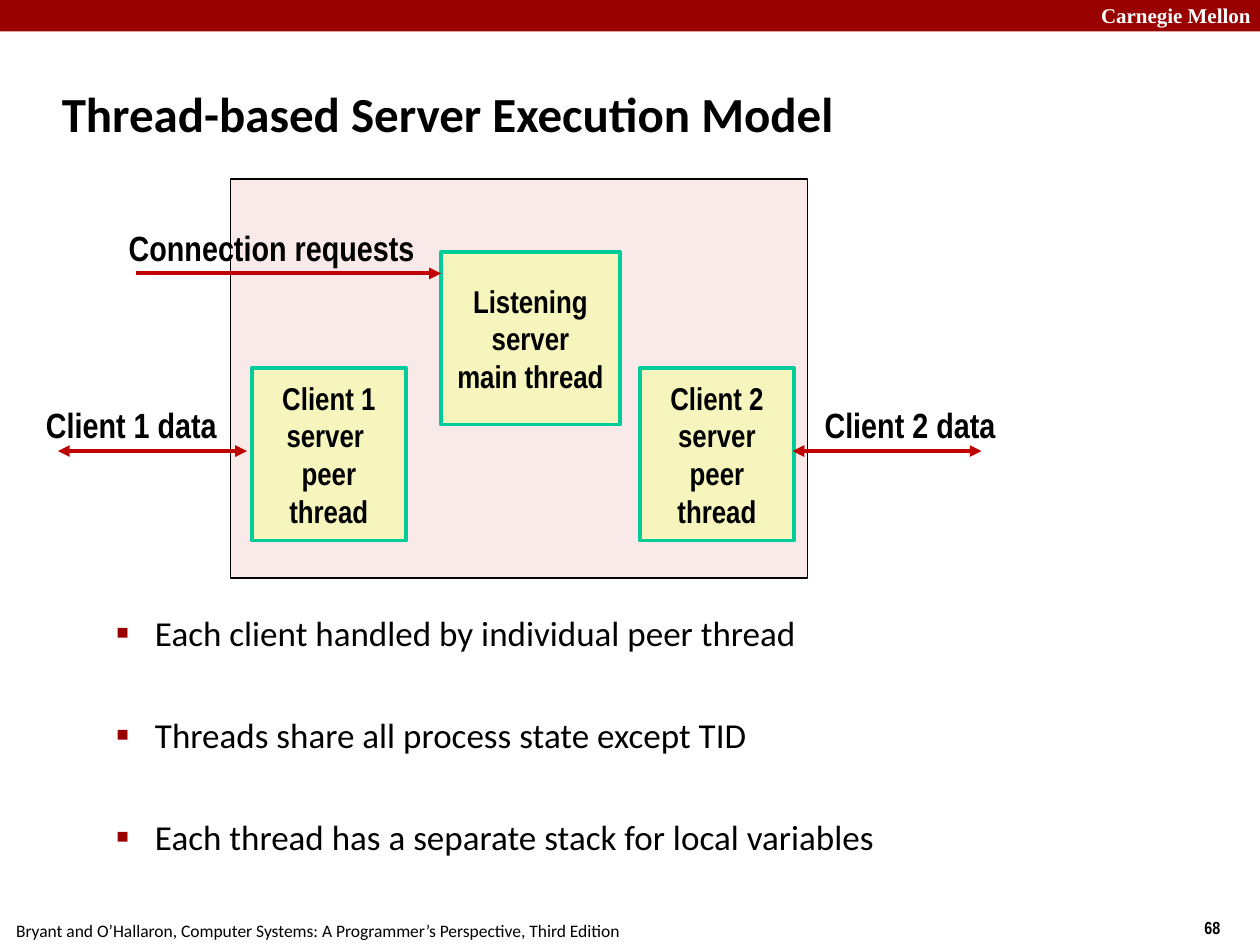
from lxml import etree
from pptx import Presentation
from pptx.dml.color import RGBColor
from pptx.enum.shapes import MSO_CONNECTOR, MSO_SHAPE
from pptx.enum.text import MSO_ANCHOR, MSO_AUTO_SIZE, PP_ALIGN
from pptx.oxml.ns import qn
from pptx.util import Inches, Pt

RECT = MSO_SHAPE.RECTANGLE
LINE = MSO_CONNECTOR.STRAIGHT
MIDDLE, FIXED = MSO_ANCHOR.MIDDLE, MSO_AUTO_SIZE.NONE
LEFT, MID, RIGHT = PP_ALIGN.LEFT, PP_ALIGN.CENTER, PP_ALIGN.RIGHT

BODY, NARROW, SERIF = "Calibri", "Arial Narrow", "Times New Roman"
BLACK, WHITE, MAROON, RED = "000000", "FFFFFF", "990000", "C00000"
PINK, CREAM, GREEN = "F1C7C7", "F6F5BD", "00CC99"


def color(code):
    return RGBColor.from_string(code)


def node(parent, tag, **attrs):
    return etree.SubElement(parent, qn(tag), **attrs)


class Page:
    """The current slide and the style of what is put on it."""

    def __init__(self, deck):
        self.slide = deck.slides.add_slide(deck.slide_layouts[1])
        self.shapes = self.slide.shapes

    def run(self, para, text, size, face, bold=False, ink=BLACK):
        run = para.add_run()
        run.text = text
        font = run.font
        font.size, font.name, font.bold = Pt(size), face, bold
        font.color.rgb = color(ink)

    def place(self, shape, at):
        shape.left, shape.top, shape.width, shape.height = map(Inches, at)
        shape.text_frame.auto_size = FIXED
        return shape.text_frame

    def title(self, text, at):
        frame = self.place(self.shapes.title, at)
        frame.vertical_anchor = MIDDLE
        para = frame.paragraphs[0]
        para.alignment = LEFT
        self.run(para, text, 28, BODY, True)

    def bullets(self, items, at, gap):
        frame = self.place(self.slide.placeholders[1], at)
        for i, text in enumerate(items):
            para = frame.add_paragraph() if i else frame.paragraphs[0]
            para.level = 1
            props = para._p.get_or_add_pPr()
            props.set("marL", str(Inches(0.81)))
            props.set("indent", str(Inches(-0.31)))
            para.space_before = Pt(gap if i else 0)
            node(node(props, "a:buClr"), "a:srgbClr", val=MAROON)
            node(props, "a:buSzPct", val="110000")
            node(props, "a:buFont", typeface=BODY)
            node(props, "a:buChar", char="▪")
            self.run(para, text, 20, BODY)

    def rect(self, at, fill, line=None, width=1, alpha=None):
        shape = self.shapes.add_shape(RECT, *map(Inches, at))
        shape.shadow.inherit = False
        shape.fill.solid()
        shape.fill.fore_color.rgb = color(fill)
        if alpha:
            tint = shape._element.spPr.find(qn("a:solidFill"))[0]
            node(tint, "a:alpha", val=str(alpha * 1000))
        if line:
            shape.line.color.rgb = color(line)
            shape.line.width = Pt(width)
        else:
            shape.line.fill.background()
        return shape

    def thread(self, at, lines):
        frame = self.rect(at, CREAM, GREEN, 2.25).text_frame
        frame.word_wrap = False
        frame.vertical_anchor = MIDDLE
        for i, text in enumerate(lines):
            para = frame.add_paragraph() if i else frame.paragraphs[0]
            para.alignment = MID
            self.run(para, text, 18, NARROW, True)

    def label(self, text, at, size, face, bold=True, ink=BLACK,
              align=LEFT, wrap=False):
        box = self.shapes.add_textbox(*map(Inches, at))
        box.text_frame.word_wrap = wrap
        para = box.text_frame.paragraphs[0]
        para.alignment = align
        self.run(para, text, size, face, bold, ink)

    def arrow(self, start, end, y, both=False):
        link = self.shapes.add_connector(
            LINE, Inches(start), Inches(y), Inches(end), Inches(y))
        link.line.color.rgb = color(RED)
        link.line.width = Pt(2.25)
        stroke = link.line._ln
        if both:
            node(stroke, "a:headEnd", type="triangle")
        node(stroke, "a:tailEnd", type="triangle")
        node(link._element.spPr, "a:effectLst")


def main():
    deck = Presentation()
    deck.slide_width, deck.slide_height = Inches(10), Inches(7.5)
    page = Page(deck)

    page.rect((0, 0, 10, 0.25), MAROON)
    page.label("Carnegie Mellon", (8.64, -0.03, 1.43, 0.3), 12, SERIF,
               ink=WHITE, wrap=True)
    page.label("68", (9.46, 7.23, 0.75, 0.27), 10, NARROW)
    page.label("Bryant and O’Hallaron, Computer Systems: "
               "A Programmer’s Perspective, Third Edition",
               (0.03, 7.25, 5.2, 0.27), 10, BODY, bold=False, wrap=True)

    page.rect((1.83, 1.42, 4.58, 3.17), PINK, BLACK, alpha=38)
    page.title("Thread-based Server Execution Model", (0.39, 0.48, 8.3, 0.83))
    page.bullets(["Each client handled by individual peer thread",
                  "Threads share all process state except TID",
                  "Each thread has a separate stack for local variables"],
                 (0.32, 4.8, 9.08, 2.21), gap=34.4)

    clients = [("Client 1", "server ", 2, 0.46, 1.96, 0.26),
               ("Client 2", "server", 5.08, 7.79, 6.29, 6.44)]
    for name, role, left, start, end, text in clients:
        page.thread((left, 2.92, 1.22, 1.37), [name, role, "peer", "thread"])
        page.arrow(start, end, 3.58, both=True)
        page.label(f"{name} data", (text, 3.15, 1.56, 0.43), 20, NARROW,
                   align=RIGHT)

    page.thread((3.5, 2, 1.42, 1.37), ["Listening", "server", "main thread"])
    page.arrow(1.08, 3.5, 2.17)
    page.label("Connection requests", (0.92, 1.75, 2.47, 0.43), 20, NARROW,
               align=RIGHT)

    deck.save("out.pptx")


if __name__ == "__main__":
    main()
